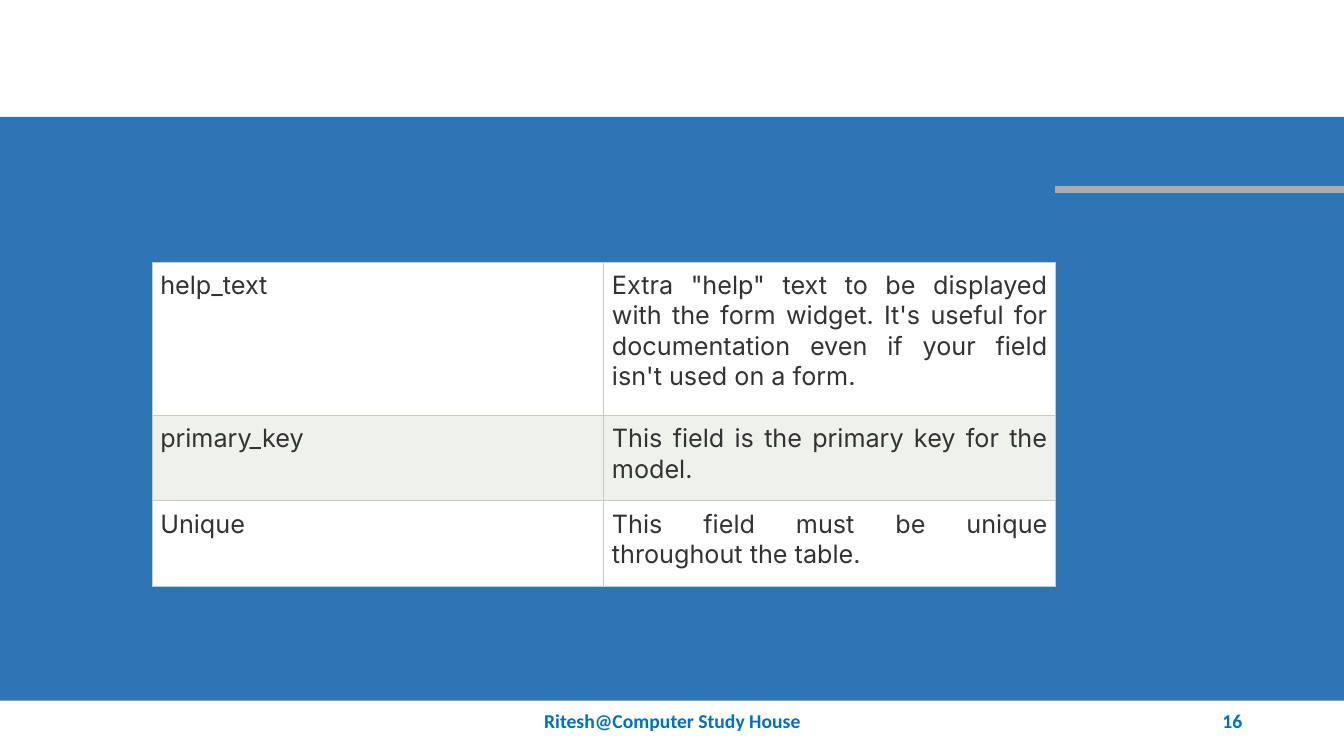
from lxml import etree
from pptx import Presentation
from pptx.dml.color import RGBColor
from pptx.enum.shapes import MSO_CONNECTOR, MSO_SHAPE
from pptx.enum.text import MSO_ANCHOR, PP_ALIGN
from pptx.oxml.ns import qn
from pptx.util import Inches, Pt

RECTANGLE = MSO_SHAPE.RECTANGLE
STRAIGHT = MSO_CONNECTOR.STRAIGHT
MIDDLE = MSO_ANCHOR.MIDDLE
CENTER, RIGHT, JUSTIFY = PP_ALIGN.CENTER, PP_ALIGN.RIGHT, PP_ALIGN.JUSTIFY

COLORS = {
    "white": "FFFFFF",
    "panel": "2E75B6",
    "accent": "AFABAB",
    "stripe": "EFF1EB",
    "border": "C7CCBE",
    "body": "333333",
    "footer": "0070C0",
}
SLIDE_WIDTH, SLIDE_HEIGHT = 13.33, 7.5
FOOTER_TOP, FOOTER_HEIGHT = 6.95, 0.4
CELL_MARGIN = 0.08
FIELD_OPTIONS = [
    ("help_text", "Extra \"help\" text to be displayed with the form widget. "
                  "It's useful for documentation even if your field isn't used on a form."),
    ("primary_key", "This field is the primary key for the model."),
    ("Unique", "This field must be unique throughout the table."),
]


class SlideBuilder:
    def __init__(self, slide):
        self.slide = slide
        self.body_font, self.footer_font = "Inter", "Calibri"

    def color(self, key):
        return RGBColor.from_string(COLORS[key])

    def background(self, key):
        fill = self.slide.background.fill
        fill.solid()
        fill.fore_color.rgb = self.color(key)

    def panel(self, left, top, width, height, key):
        band = self.slide.shapes.add_shape(
            RECTANGLE, Inches(left), Inches(top), Inches(width), Inches(height))
        band.shadow.inherit = False
        band.fill.solid()
        band.fill.fore_color.rgb = self.color(key)
        band.line.fill.background()

    def rule(self, left, right, y, key, weight):
        accent = self.slide.shapes.add_connector(
            STRAIGHT, Inches(left), Inches(y), Inches(right), Inches(y))
        accent.line.color.rgb = self.color(key)
        accent.line.width = Pt(weight)
        etree.SubElement(accent._element.spPr, qn("a:effectLst"))

    def add_text(self, frame, wording, font, size, key, align, bold=False):
        paragraph = frame.paragraphs[0]
        paragraph.alignment = align
        run = paragraph.add_run()
        run.text = wording
        run.font.name = font
        run.font.size = Pt(size)
        run.font.bold = bold
        run.font.color.rgb = self.color(key)

    def footer(self, left, width, wording, align):
        box = self.slide.shapes.add_textbox(
            Inches(left), Inches(FOOTER_TOP), Inches(width), Inches(FOOTER_HEIGHT))
        box.text_frame.word_wrap = True
        box.text_frame.vertical_anchor = MIDDLE
        self.add_text(box.text_frame, wording, self.footer_font, 14, "footer", align, True)

    def borders(self, cell, key, weight):
        properties = cell._tc.get_or_add_tcPr()
        for position, side in enumerate(("a:lnL", "a:lnR", "a:lnT", "a:lnB")):
            edge = etree.Element(qn(side), w=str(Pt(weight)))
            fill = etree.SubElement(edge, qn("a:solidFill"))
            etree.SubElement(fill, qn("a:srgbClr"), val=COLORS[key])
            properties.insert(position, edge)

    def table(self, left, top, column_width, row_heights, rows):
        columns = len(rows[0])
        grid = self.slide.shapes.add_table(
            len(rows), columns, Inches(left), Inches(top),
            Inches(column_width * columns), Inches(sum(row_heights))).table
        for column in grid.columns:
            column.width = Inches(column_width)
        for row_index, (height, wordings) in enumerate(zip(row_heights, rows)):
            grid.rows[row_index].height = Inches(height)
            for column_index, wording in enumerate(wordings):
                cell = grid.cell(row_index, column_index)
                cell.margin_left = cell.margin_right = Inches(CELL_MARGIN)
                cell.margin_top = cell.margin_bottom = Inches(CELL_MARGIN)
                cell.fill.solid()
                cell.fill.fore_color.rgb = self.color("stripe" if row_index % 2 else "white")
                self.borders(cell, "border", 0.75)
                self.add_text(cell.text_frame, wording, self.body_font, 18, "body", JUSTIFY)


def main():
    deck = Presentation()
    deck.slide_width, deck.slide_height = Inches(SLIDE_WIDTH), Inches(SLIDE_HEIGHT)
    builder = SlideBuilder(deck.slides.add_slide(deck.slide_layouts[6]))
    builder.background("white")
    builder.panel(0, 1.16, SLIDE_WIDTH, 5.79, "panel")
    builder.rule(10.46, SLIDE_WIDTH, 1.88, "accent", 4.5)
    builder.table(1.51, 2.6, 4.48, (1.52, 0.85, 0.85), FIELD_OPTIONS)
    builder.footer(4.42, 4.5, "Ritesh@Computer Study House", CENTER)
    builder.footer(9.42, 3, "16", RIGHT)
    deck.save("out.pptx")


if __name__ == "__main__":
    main()
